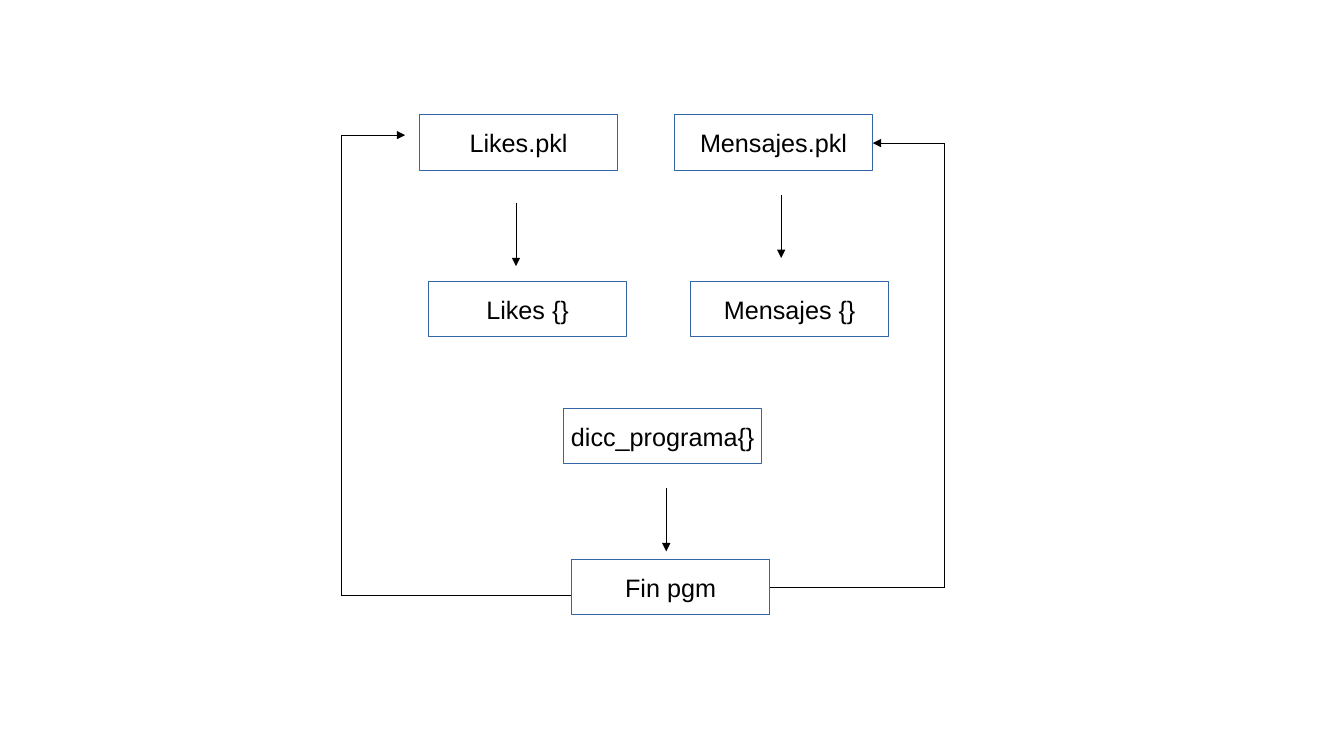
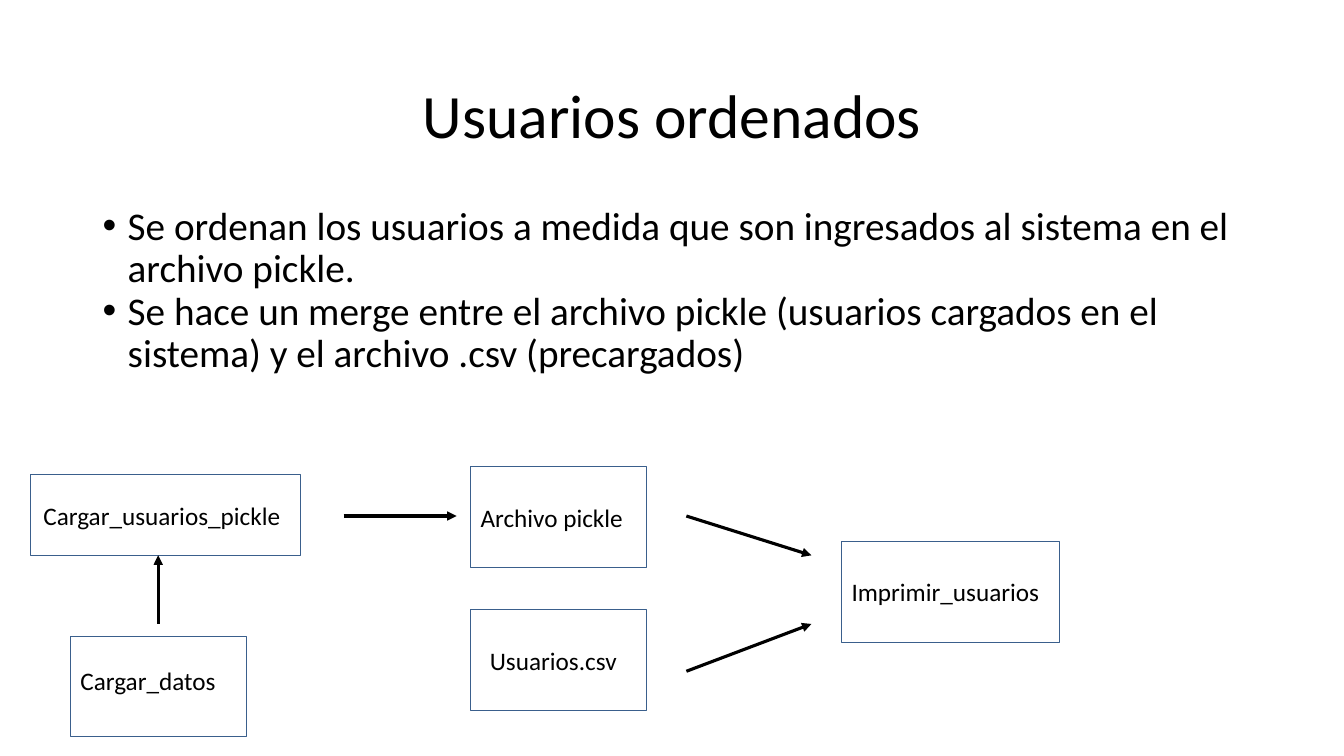
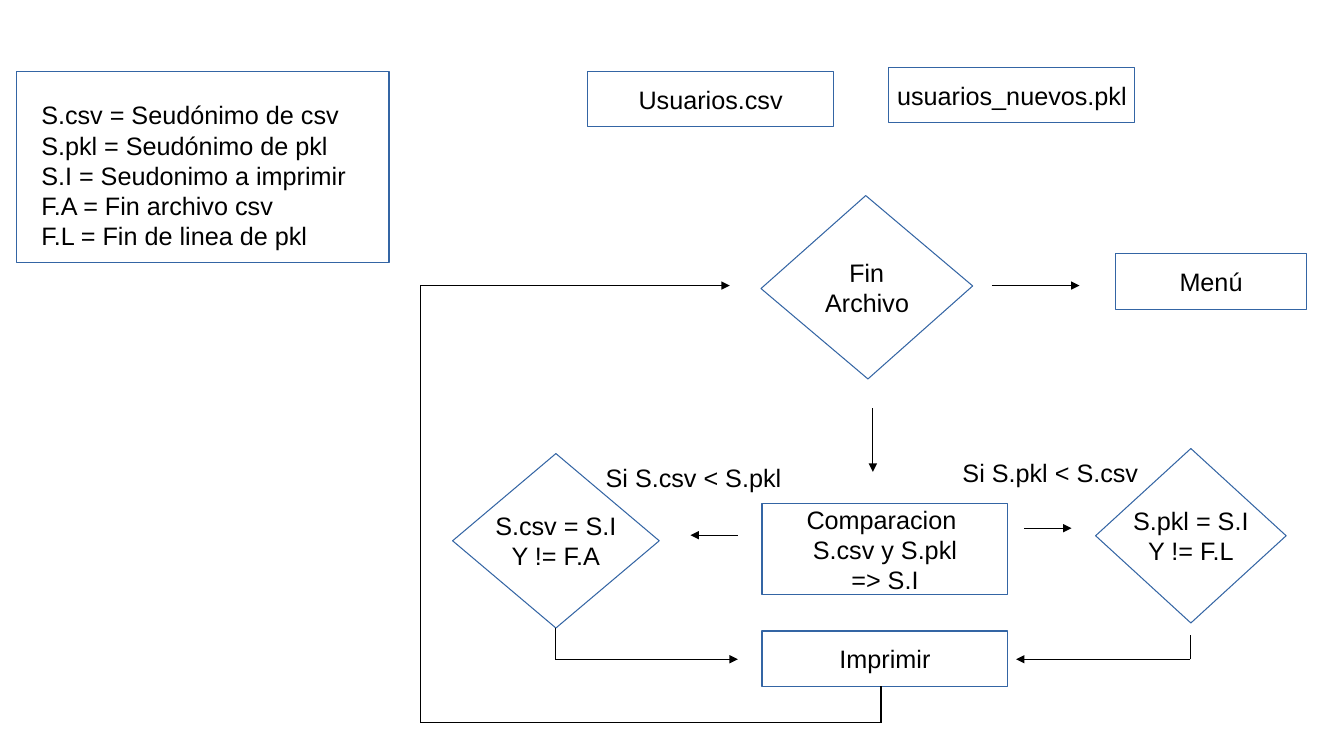
"""Build three slides of flow diagrams about stored users, likes and messages."""
from dataclasses import dataclass, replace

from lxml.etree import SubElement
from pptx import Presentation
from pptx.dml.color import RGBColor
from pptx.enum.shapes import MSO_CONNECTOR, MSO_SHAPE
from pptx.enum.text import MSO_ANCHOR, PP_ALIGN
from pptx.oxml.ns import qn
from pptx.util import Pt


@dataclass(frozen=True)
class Theme:
    ink: RGBColor = RGBColor(0x00, 0x00, 0x00)
    paper: RGBColor = RGBColor(0xFF, 0xFF, 0xFF)
    node_line: RGBColor = RGBColor(0x34, 0x65, 0xA4)
    step_line: RGBColor = RGBColor(0x3A, 0x5F, 0x8C)
    diagram_font: str = "Arial"
    text_font: str = "Calibri"
    title_size: float = 44
    body_size: float = 28
    label_size: float = 18
    thin: float = 0.75
    hairline: float = 0.51
    thick: float = 2.24


theme = Theme()


@dataclass(frozen=True)
class Style:
    font: str = theme.diagram_font
    size: float = theme.label_size
    align: PP_ALIGN = PP_ALIGN.CENTER
    anchor: MSO_ANCHOR = MSO_ANCHOR.MIDDLE
    wrap: bool = False
    left: float = 7.2
    top: float = 3.6
    bottom: float = 3.6
    filled: bool = True
    line: RGBColor = theme.node_line
    width: float = theme.thin


node = Style()
label = Style(align=PP_ALIGN.LEFT, anchor=MSO_ANCHOR.TOP, wrap=True)
legend = replace(label, left=18, top=20, filled=False)
step = Style(font=theme.text_font, align=PP_ALIGN.LEFT, wrap=True, filled=False,
             line=theme.step_line, width=theme.hairline)
title_style = Style(font=theme.text_font, size=theme.title_size, wrap=True)
body_style = replace(label, font=theme.text_font, size=theme.body_size)


def write_text(shape, text, style):
    frame = shape.text_frame
    frame.text = text
    frame.word_wrap = style.wrap
    frame.vertical_anchor = style.anchor
    frame.margin_left = Pt(style.left)
    frame.margin_top, frame.margin_bottom = Pt(style.top), Pt(style.bottom)
    for para in frame.paragraphs:
        para.alignment = style.align
        for span in para.runs:
            span.font.name = style.font
            span.font.size = Pt(style.size)
            span.font.color.rgb = theme.ink


def add_route(page, points, width):
    for start, end in zip(points, points[1:]):
        line = page.shapes.add_connector(MSO_CONNECTOR.STRAIGHT, *map(Pt, start + end))
        line.line.color.rgb = theme.ink
        line.line.width = Pt(width)
        properties = line.line._get_or_add_ln()
        if end == points[-1]:
            SubElement(properties, qn("a:tailEnd"), type="triangle")
        SubElement(properties.getparent(), qn("a:effectLst"))


deck = Presentation()
deck.slide_width, deck.slide_height = Pt(960), Pt(540)
title_only, blank = deck.slide_layouts[5], deck.slide_layouts[6]
files_page = deck.slides.add_slide(blank)
users_page = deck.slides.add_slide(title_only)
merge_page = deck.slides.add_slide(blank)

title = users_page.shapes.title
title.left, title.top, title.width, title.height = map(Pt, (66.2, 28.8, 828, 104.4))
write_text(title, "Usuarios ordenados", title_style)

body = users_page.shapes.add_textbox(*map(Pt, (66.2, 144, 828, 342.7)))
write_text(body, "Se ordenan los usuarios a medida que son ingresados al sistema en el archivo pickle.\n"
           "Se hace un merge entre el archivo pickle (usuarios cargados en el sistema) "
           "y el archivo .csv (precargados)", body_style)
for para in body.text_frame.paragraphs:
    para.line_spacing = 0.9
    bullet = para._p.get_or_add_pPr()
    bullet.set("marL", str(Pt(18)))
    bullet.set("indent", str(-Pt(18)))
    SubElement(bullet, qn("a:buFont"), typeface=theme.diagram_font)
    SubElement(bullet, qn("a:buChar"), char="•")

file_size = (141.8, 39.6)
step_size = (125.3, 72)
wide_size = (175.7, 39.6)
rectangle, process, diamond = MSO_SHAPE.RECTANGLE, MSO_SHAPE.FLOWCHART_PROCESS, MSO_SHAPE.DIAMOND
nodes = [
    (files_page, rectangle, "Likes.pkl", (299.5, 82), file_size, node),
    (files_page, rectangle, "Mensajes.pkl", (481.7, 82), file_size, node),
    (files_page, rectangle, "Likes {}", (306, 201), file_size, node),
    (files_page, rectangle, "Mensajes {}", (493.2, 201), file_size, node),
    (files_page, rectangle, "dicc_programa{}", (402.5, 291.6), file_size, node),
    (files_page, rectangle, "Fin pgm", (408.2, 399.6), file_size, node),
    (users_page, process, "Cargar_datos", (50.4, 454.3), step_size, replace(step, bottom=12.2)),
    (users_page, process, "Archivo pickle", (336.2, 333.4), step_size, step),
    (users_page, process, "Usuarios.csv", (336.2, 435.6), step_size, replace(step, left=13.7)),
    (users_page, process, "Cargar_usuarios_pickle", (21.6, 339.1), (193, 57.6),
     replace(step, left=9.4)),
    (users_page, process, "Imprimir_usuarios", (601.2, 386.6), (155.5, 72), step),
    (merge_page, rectangle, "Usuarios.csv", (419.8, 51.1), wide_size, node),
    (merge_page, rectangle, "usuarios_nuevos.pkl", (635, 48.2), wide_size, node),
    (merge_page, diamond, "Fin\nArchivo", (543.6, 139.7), (151.2, 131), node),
    (merge_page, diamond, "S.csv = S.I\nY != F.A", (323.3, 324), (147.6, 124.6), node),
    (merge_page, diamond, "S.pkl = S.I\nY != F.L", (782.6, 320.4), (136.1, 124.6), node),
    (merge_page, rectangle, "Comparacion \nS.csv y S.pkl\n=> S.I", (544.3, 360), (175.7, 64.8), node),
    (merge_page, rectangle, "Imprimir", (544.3, 450.7), wide_size, node),
    (merge_page, rectangle, "Menú", (797, 181.4), (136.1, 39.6), node),
    (merge_page, rectangle, "S.csv = Seudónimo de csv\nS.pkl = Seudónimo de pkl\n"
     "S.I = Seudonimo a imprimir\nF.A = Fin archivo csv\nF.L = Fin de linea de pkl",
     (11.5, 51.1), (266.4, 136.1), legend),
]
for page, kind, text, corner, size, style in nodes:
    box = page.shapes.add_shape(kind, *map(Pt, corner + size))
    box.shadow.inherit = False
    if style.filled:
        box.fill.solid()
        box.fill.fore_color.rgb = theme.paper
    else:
        box.fill.background()
    box.line.color.rgb = style.line
    box.line.width = Pt(style.width)
    if text == "Fin\nArchivo":
        box.rotation = 359.3
    write_text(box, text, style)

for text, left, top in [("Si S.csv < S.pkl", 425.5, 326.9), ("Si S.pkl < S.csv", 680.4, 323.3)]:
    condition = merge_page.shapes.add_textbox(*map(Pt, (left, top, 209.5, 47.5)))
    write_text(condition, text, label)

routes = [
    (files_page, theme.thin, [
        [(368.6, 144.7), (368.6, 190.1)],
        [(558, 139), (558, 184.3)],
        [(475.9, 348.5), (475.9, 393.8)],
        [(408.2, 425.5), (244.1, 425.5), (244.1, 96.5), (289.4, 96.5)],
        [(550.1, 419.8), (674.6, 419.8), (674.6, 102.2), (623.5, 102.2)],
    ]),
    (users_page, theme.thick, [
        [(245.5, 368.6), (326.2, 368.6)],
        [(490.3, 368.6), (579.6, 396.7)],
        [(490.3, 479.5), (579.6, 445.7)],
        [(113, 445.7), (113, 396.7)],
    ]),
    (merge_page, theme.thin, [
        [(623.5, 291.6), (623.5, 337)],
        [(527, 382.3), (493.2, 382.3)],
        [(731.5, 377.3), (765.4, 377.3)],
        [(708.5, 204), (771.1, 204)],
        [(629.3, 490.3), (629.3, 516.2), (300.2, 516.2), (300.2, 204), (521.3, 204)],
        [(396.7, 448.6), (396.7, 470.9), (527, 470.9)],
        [(850.3, 453.6), (850.3, 470.9), (725.8, 470.9)],
    ]),
]
for page, width, paths in routes:
    for points in paths:
        add_route(page, points, width)

deck.save("out.pptx")
